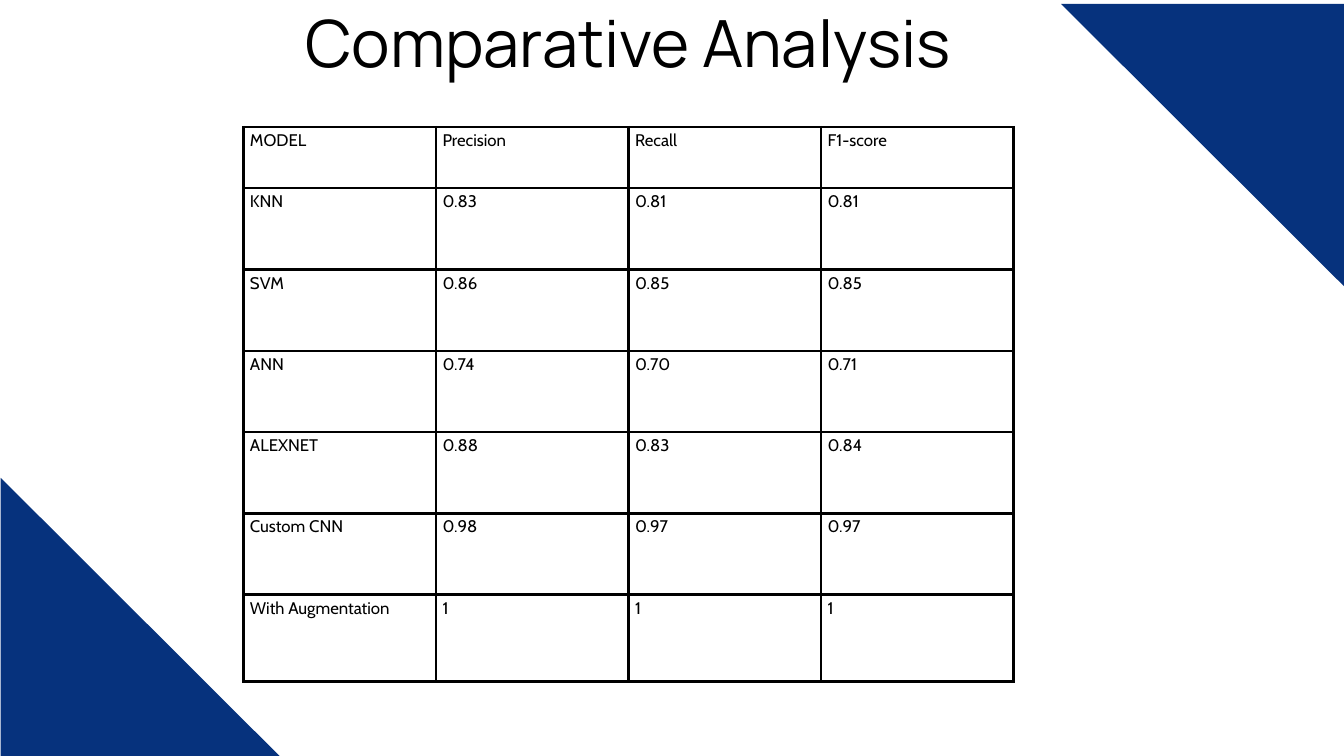
from lxml import etree
from pptx import Presentation
from pptx import util as u
from pptx.dml.color import RGBColor
from pptx.enum import text
from pptx.oxml import ns

ROWS = [
    ("MODEL", "Precision", "Recall", "F1-score"),
    ("KNN", "0.83", "0.81", "0.81"),
    ("SVM", "0.86", "0.85", "0.85"),
    ("ANN", "0.74", "0.70", "0.71"),
    ("ALEXNET", "0.88", "0.83", "0.84"),
    ("Custom CNN", "0.98", "0.97", "0.97"),
    ("With Augmentation", "1", "1", "1"),
]
HEIGHTS = [0.91] + [1.21] * 5 + [1.29]


def tint(code):
    return RGBColor.from_string(code)


def write(frame, words, font, size, color="000000", align=None, lead=None):
    para = frame.paragraphs[0]
    para.alignment = align
    if lead:
        para.line_spacing = u.Pt(lead)
    run = para.add_run()
    run.text = words
    run.font.name = font
    run.font.size = u.Pt(size)
    run.font.color.rgb = tint(color)


def edge(cell, color, width):
    props = cell._tc.get_or_add_tcPr()
    for side in ("lnL", "lnR", "lnT", "lnB"):
        line = etree.SubElement(props, ns.qn("a:" + side), w=str(u.Pt(width)))
        fill = etree.SubElement(line, ns.qn("a:solidFill"))
        etree.SubElement(fill, ns.qn("a:srgbClr"), val=color)


class Deck:
    head = "Manrope"
    body = "Cabin"
    blue = "06327D"
    ink = "000000"

    def __init__(self, wide, high):
        self.show = Presentation()
        self.show.slide_width = u.Inches(wide)
        self.show.slide_height = u.Inches(high)
        self.slide = self.show.slides.add_slide(self.show.slide_layouts[5])

    def title(self, words, left, top, wide, high):
        box = self.slide.shapes.title
        box.left, box.top = u.Inches(left), u.Inches(top)
        box.width, box.height = u.Inches(wide), u.Inches(high)
        frame = box.text_frame
        frame.margin_left = frame.margin_right = 0
        frame.margin_top = frame.margin_bottom = 0
        frame.word_wrap = True
        frame.auto_size = text.MSO_AUTO_SIZE.SHAPE_TO_FIT_TEXT
        frame.vertical_anchor = text.MSO_ANCHOR.TOP
        write(frame, words, self.head, 69.7, self.ink,
              align=text.PP_ALIGN.CENTER, lead=97.6)

    def corner(self, *points):
        spots = [(u.Inches(x), u.Inches(y)) for x, y in points]
        pen = self.slide.shapes.build_freeform(*spots[0])
        pen.add_line_segments(spots[1:], close=True)
        shape = pen.convert_to_shape()
        shape.shadow.inherit = False
        shape.fill.solid()
        shape.fill.fore_color.rgb = tint(self.blue)
        shape.line.fill.background()

    def table(self, rows, left, top, wide, heights):
        count = len(rows[0])
        grid = self.slide.shapes.add_table(
            len(rows), count, u.Inches(left), u.Inches(top),
            u.Inches(wide), u.Inches(sum(heights))).table
        grid.first_row = grid.horz_banding = False
        for col in grid.columns:
            col.width = u.Inches(wide / count)
        for row, high, words in zip(grid.rows, heights, rows):
            row.height = u.Inches(high)
            for cell, word in zip(row.cells, words):
                edge(cell, self.ink, 3)
                cell.fill.background()
                write(cell.text_frame, word, self.body, 18, self.ink)


def main():
    deck = Deck(20, 11.25)
    deck.title("Comparative Analysis", 3.17, -0.15, 12.36, 1.37)
    deck.corner((15.79, 0.06), (20, 0.06), (20, 4.26))
    deck.corner((4.22, 11.31), (0.01, 11.31), (0.01, 7.11))
    deck.table(ROWS, 3.62, 1.89, 11.46, HEIGHTS)
    deck.show.save("out.pptx")


if __name__ == "__main__":
    main()
